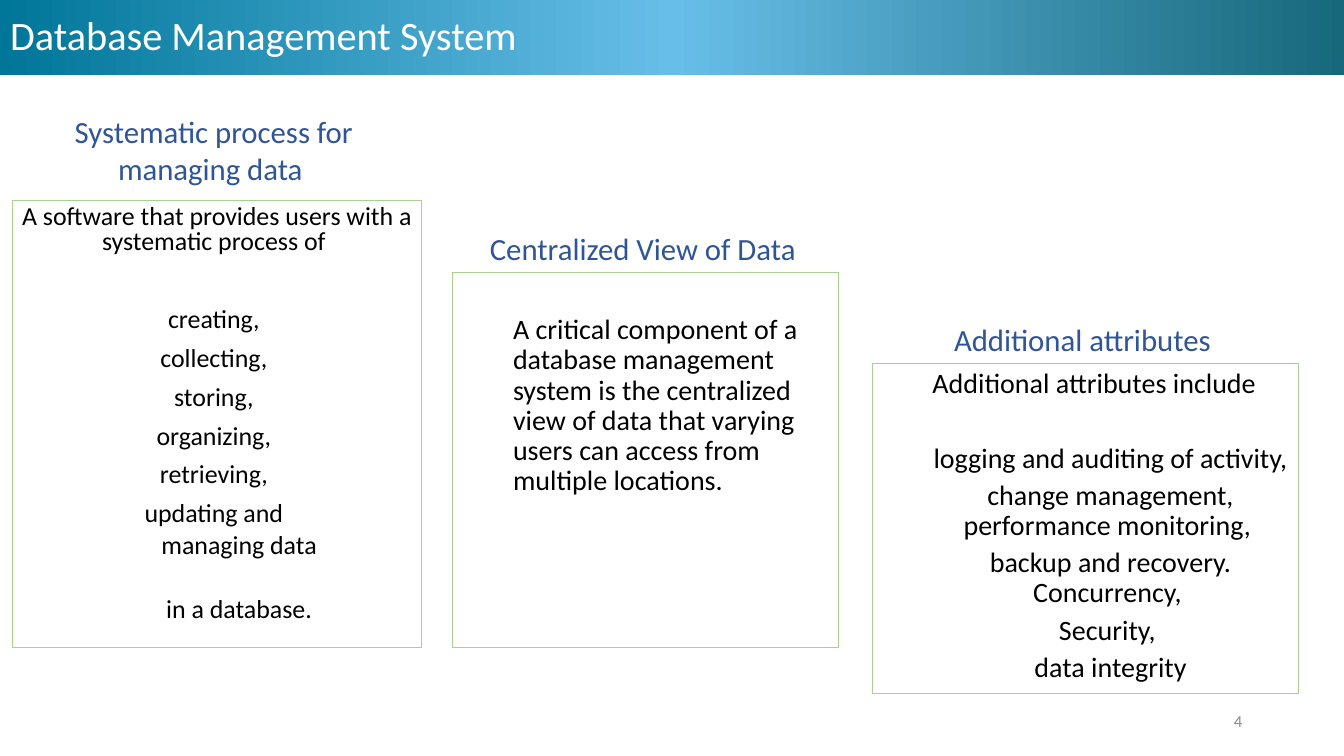
import copy

import pptx
import pptx.dml.color
import pptx.enum.shapes
import pptx.enum.text
import pptx.util

PX = 9144  # 100 px to the inch
FONT = "Calibri"
COLORS = {
    "band_left": "007698",
    "band_middle": "67BEE8",
    "band_right": "17687B",
    "title": "FFFFFF",
    "heading": "2F5597",
    "body": "000000",
    "border": "A9D18E",
    "number": "8C8C8C",
}
ALIGN = pptx.enum.text.PP_ALIGN
ANCHOR = pptx.enum.text.MSO_ANCHOR
INDENT = 50

# Each line: text, indent in px, space before in points, alignment
PROCESS_LINES = [
    ("A software that provides users with a systematic process of ", 0, 0, ALIGN.CENTER),
    ("creating, ", 0, 38, ALIGN.CENTER),
    *[(step, 0, 10, ALIGN.CENTER) for step in (
        "collecting, ", "storing, ", "organizing, ", "retrieving, ", "updating and ")],
    ("managing data ", INDENT, 5, ALIGN.CENTER),
    ("in a database. ", INDENT, 28, ALIGN.CENTER),
]
VIEW_LINES = [
    ("A critical component of a database management system is the centralized view "
     "of data that varying users can access from multiple locations.",
     INDENT, 0, ALIGN.LEFT),
]
ATTRIBUTE_LINES = [
    ("Additional attributes include", INDENT, 0, ALIGN.LEFT),
    ("logging and auditing of activity, ", INDENT, 32, ALIGN.CENTER),
    *[(attribute, INDENT, 5, ALIGN.CENTER) for attribute in (
        "change management, performance monitoring, ",
        "backup and recovery. Concurrency, ", "Security, ", "data integrity")],
]

# Box, heading, heading height, gap under heading, lines, size, line spacing, top inset
COLUMNS = [
    ((12, 199, 406, 443), "Systematic process for managing data ", 84, 8,
     PROCESS_LINES, 18.5, 0.8, 5),
    ((449, 270, 383, 372), "Centralized View of Data", 47, 0,
     VIEW_LINES, 20, 0.9, 43),
    ((865, 361, 423, 327), "Additional attributes", 47, 1,
     ATTRIBUTE_LINES, 20, 0.9, 5),
]


def rgb(name):
    return pptx.dml.color.RGBColor.from_string(COLORS[name])


def scaled(box):
    return [length * PX for length in box]


def apply(target, values):
    for name, value in values.items():
        setattr(target, name, value)


def write(frame, lines, size, color, spacing=1.0, top=5, anchor=ANCHOR.TOP):
    apply(frame, {
        "word_wrap": True,
        "auto_size": pptx.enum.text.MSO_AUTO_SIZE.NONE,
        "vertical_anchor": anchor,
        "margin_left": 10 * PX,
        "margin_right": 10 * PX,
        "margin_top": top * PX,
        "margin_bottom": 5 * PX,
    })
    for index, (text, indent, before, alignment) in enumerate(lines):
        paragraph = frame.add_paragraph() if index else frame.paragraphs[0]
        properties = paragraph._p.get_or_add_pPr()
        properties.set("marL", str(indent * PX))
        properties.set("indent", "0")
        apply(paragraph, {
            "alignment": alignment,
            "line_spacing": spacing,
            "space_before": pptx.util.Pt(before),
        })
        run = paragraph.add_run()
        run.text = text
        apply(run.font, {"name": FONT, "size": pptx.util.Pt(size)})
        run.font.color.rgb = rgb(color)


def add_rectangle(slide, box):
    rectangle = slide.shapes.add_shape(
        pptx.enum.shapes.MSO_SHAPE.RECTANGLE, *scaled(box))
    rectangle.shadow.inherit = False
    return rectangle


def add_header(slide, box):
    left, top, width, height = box
    # Gradient band behind the title
    band = add_rectangle(slide, box)
    band.line.fill.background()
    band.fill.gradient()
    band.fill.gradient_angle = 0
    stop_list = band.fill._fill._gradFill.gsLst
    stop_list.insert(1, copy.deepcopy(stop_list[0]))
    names = ("band_left", "band_middle", "band_right")
    for stop, name, position in zip(band.fill.gradient_stops, names, (0, 0.5, 1)):
        stop.color.rgb = rgb(name)
        stop.position = position
    slide.shapes._spTree.insert(2, band._element)

    # Title
    title = slide.shapes.title
    apply(title, dict(zip(("left", "top", "width", "height"),
                          scaled((left, top + 9, 1150, height - 17)))))
    write(title.text_frame, [("Database Management System", 0, 0, ALIGN.LEFT)],
          28.8, "title", 0.9, anchor=ANCHOR.MIDDLE)


def add_column(slide, box, heading, heading_height, gap, lines, size, spacing, inset):
    left, top, width, height = box
    # Bordered body
    body = add_rectangle(slide, box)
    body.fill.background()
    body.line.color.rgb = rgb("border")
    body.line.width = pptx.util.Pt(0.75)
    write(body.text_frame, lines, size, "body", spacing, inset)

    # Heading above the body
    heading_box = (left - 6, top - gap - heading_height, width + 6, heading_height)
    caption = slide.shapes.add_textbox(*scaled(heading_box))
    write(caption.text_frame, [(heading, 0, 0, ALIGN.CENTER)], 22, "heading")


def add_slide_number(slide, box):
    number = slide.shapes.add_textbox(*scaled(box))
    write(number.text_frame, [("4", 0, 0, ALIGN.RIGHT)], 12, "number",
          anchor=ANCHOR.MIDDLE)


def main():
    deck = pptx.Presentation()
    apply(deck, {"slide_width": 1333 * PX, "slide_height": 750 * PX})
    slide = deck.slides.add_slide(deck.slide_layouts[5])
    add_header(slide, (0, 0, 1333, 74))
    for column in COLUMNS:
        add_column(slide, *column)
    add_slide_number(slide, (942, 695, 300, 40))
    deck.save("out.pptx")


if __name__ == "__main__":
    main()
